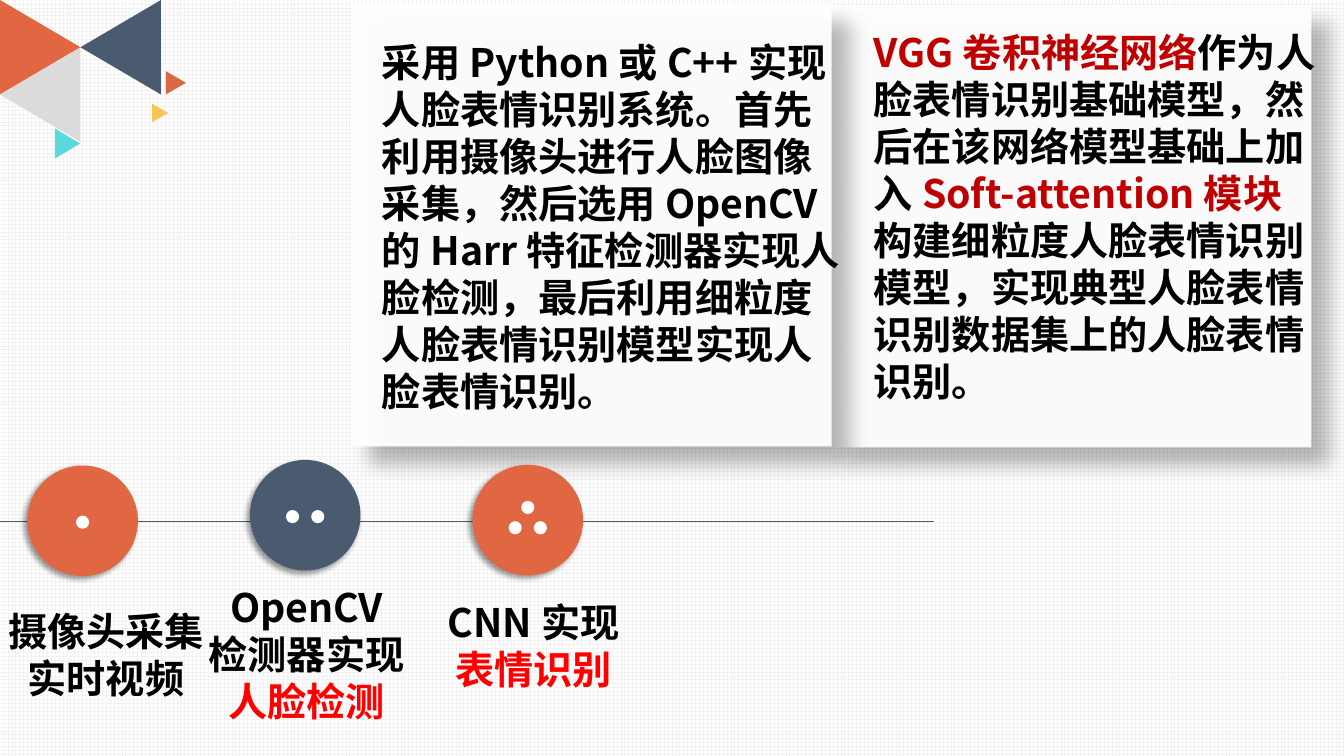
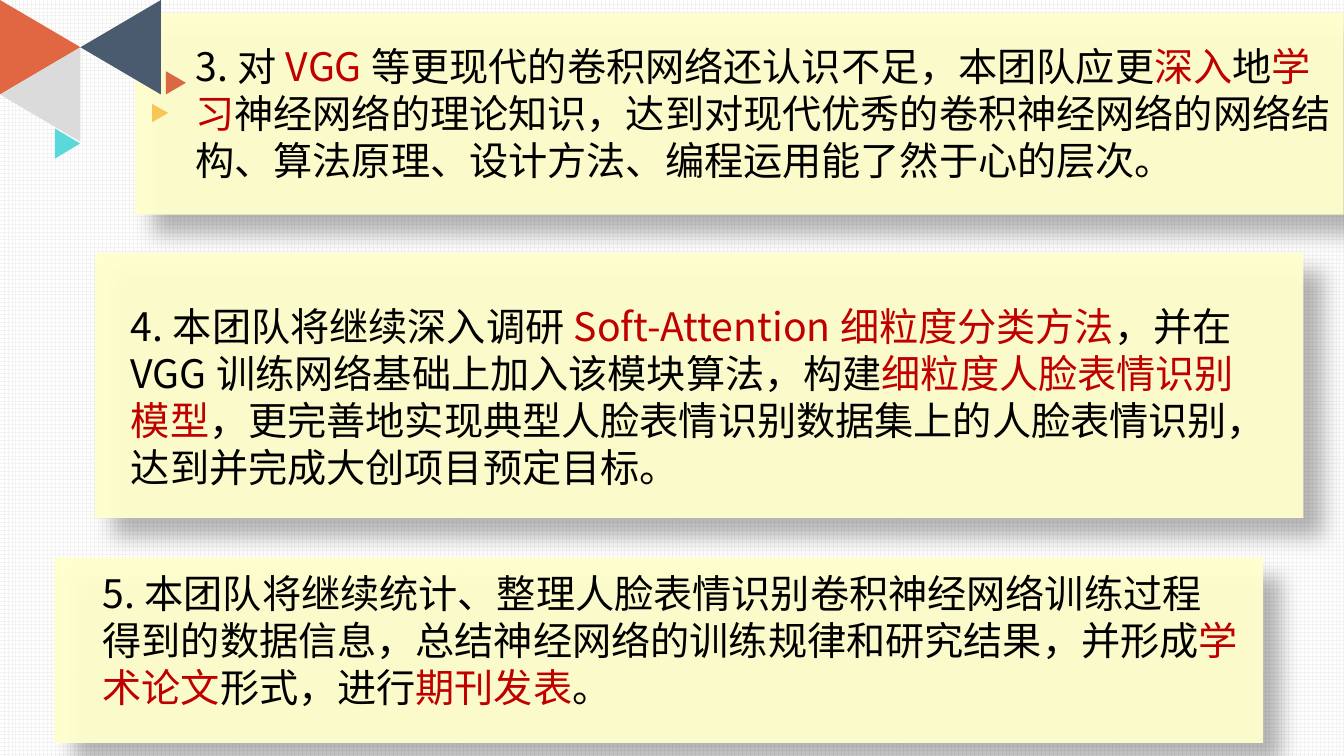
from lxml import etree
from pptx import Presentation
from pptx.dml.color import RGBColor
from pptx.enum.dml import MSO_PATTERN
from pptx.enum.shapes import MSO_CONNECTOR, MSO_SHAPE
from pptx.enum.text import MSO_AUTO_SIZE, PP_ALIGN
from pptx.oxml.ns import qn
from pptx.util import Pt

RECT = MSO_SHAPE.RECTANGLE
OVAL = MSO_SHAPE.OVAL
TRIANGLE = MSO_SHAPE.ISOSCELES_TRIANGLE
STRAIGHT = MSO_CONNECTOR.STRAIGHT
GRID = MSO_PATTERN.LARGE_GRID
GROW = MSO_AUTO_SIZE.SHAPE_TO_FIT_TEXT
LEFT = PP_ALIGN.LEFT
CENTER = PP_ALIGN.CENTER

FONT = "Noto Sans CJK SC"
TEXT_SIZE = 28
COLORS = {
    "white": "FFFFFF",
    "grid": "F2F2F2",
    "black": "000000",
    "dark_red": "C00000",
    "red": "FF0000",
    "orange": "E16742",
    "slate": "4A5B6F",
    "gray": "DBDBDB",
    "teal": "59D9DC",
    "coral": "DA6943",
    "yellow": "F8C655",
    "cream": "FFFFCC",
}
PANEL_SHADOW = {"alpha": 30, "blur": 15, "dist": 18, "angle": 45}
CIRCLE_SHADOW = {"alpha": 40, "blur": 4, "dist": 3, "angle": 135}

TRIANGLES = [
    (0, 0, 57.5, 67.5, 90, "orange"),
    (0, 33.75, 57.5, 67.5, 270, "gray"),
    (39.2, 91.8, 18, 21.5, 90, "teal"),
    (57.5, 0, 57.5, 67.5, 270, "slate"),
    (118.4, 50.8, 14.4, 16.7, 90, "coral"),
    (108.7, 74.2, 11.5, 13, 90, "yellow"),
]

STEP_LEFT, STEP_PITCH = 19.5, 159
CIRCLE, DOT = 79, 9.4
STEPS = [
    (332.5, "orange", [(0, 1)], 430,
     [[("摄像头采集", "black")], [("实时视频", "black")]]),
    (328.5, "slate", [(-9, 1), (9, 1)], 413.3,
     [[("OpenCV", "black")], [("检测器实现", "black")], [("人脸检测", "red")]]),
    (332, "orange", [(-9, 5.5), (9, 5.5), (0, -9)], 424,
     [[("CNN实现", "black")], [("表情识别", "red")]]),
]

SYSTEM_TEXT = [[
    ("采用Python或C++实现人脸表情识别系统。首先利用摄像头进行人脸图像采集，"
     "然后选用OpenCV的Harr特征检测器实现人脸检测，最后利用细粒度人脸表情识别模型"
     "实现人脸表情识别。", "black"),
]]
MODEL_TEXT = [
    [("VGG卷积神经网络", "dark_red"),
     ("作为人脸表情识别基础模型，然后在该网络模型基础上加入", "black"),
     ("Soft-attention模块", "dark_red")],
    [("构建细粒度人脸表情识别模型，实现典型人脸表情识别数据集上的人脸表情识别。",
      "black")],
]

PLANS = [
    (96.5, 9.4, 144, 132.5, 26.6, [
        ("3.对", "black"), ("VGG", "dark_red"),
        ("等更现代的卷积网络还认识不足，本团队应更", "black"),
        ("深入", "dark_red"), ("地", "black"), ("学习", "dark_red"),
        ("神经网络的理论知识，达到对现代优秀的卷积神经网络的网络结构、算法原理、"
         "设计方法、编程运用能了然于心的层次。", "black"),
    ]),
    (67.7, 180.7, 189.4, 86.4, 212.4, [
        ("4.本团队将继续深入调研", "black"),
        ("Soft-Attention细粒度分类方法", "dark_red"),
        ("，并在VGG训练网络基础上加入该模块算法，构建", "black"),
        ("细粒度人脸表情识别模型", "dark_red"),
        ("，更完善地实现典型人脸表情识别数据集上的人脸表情识别，"
         "达到并完成大创项目预定目标。", "black"),
    ]),
    (38.9, 398.2, 132.5, 66.2, 403.2, [
        ("5.本团队将继续统计、整理人脸表情识别卷积神经网络训练过程得到的数据信息，"
         "总结神经网络的训练规律和研究结果，并形成", "black"),
        ("学术论文", "dark_red"), ("形式，进行", "black"),
        ("期刊发表", "dark_red"), ("。", "black"),
    ]),
]


def rgb(name):
    return RGBColor.from_string(COLORS[name])


def add_shadow(sp, alpha, blur, dist, angle):
    effects = sp._element.spPr.find(qn("a:effectLst"))
    outer = etree.SubElement(
        effects, qn("a:outerShdw"), blurRad=str(Pt(blur)), dist=str(Pt(dist)),
        dir=str(angle * 60000), algn="ctr", rotWithShape="0")
    color = etree.SubElement(outer, qn("a:srgbClr"), val=COLORS["black"])
    etree.SubElement(color, qn("a:alpha"), val=str(alpha * 1000))


def add_filled(shapes, kind, x, y, w, h, color, shadow=None):
    sp = shapes.add_shape(kind, Pt(x), Pt(y), Pt(w), Pt(h))
    sp.fill.solid()
    sp.fill.fore_color.rgb = rgb(color)
    sp.line.fill.background()
    sp.shadow.inherit = False
    if shadow:
        add_shadow(sp, **shadow)
    return sp


def add_panel(s, x, y, w, h, color):
    sp = add_filled(s.shapes, RECT, x, y, w, h, color, PANEL_SHADOW)
    clr = sp._element.spPr.find(qn("a:solidFill"))[0]
    etree.SubElement(clr, qn("a:alpha"), val="94000")


def add_text(s, x, y, w, h, paragraphs, bold=False, align=LEFT):
    tf = s.shapes.add_textbox(Pt(x), Pt(y), Pt(w), Pt(h)).text_frame
    tf.word_wrap = True
    tf.auto_size = GROW
    for i, runs in enumerate(paragraphs):
        p = tf.add_paragraph() if i else tf.paragraphs[0]
        p.alignment = align
        for text, color in runs:
            r = p.add_run()
            r.text = text
            r.font.size = Pt(TEXT_SIZE)
            r.font.bold = bold
            r.font.color.rgb = rgb(color)
            r.font.name = FONT
            etree.SubElement(r._r.get_or_add_rPr(), qn("a:ea"), typeface=FONT)


def add_triangles(s):
    group = s.shapes.add_group_shape()
    for x, y, w, h, rotation, color in TRIANGLES:
        shift = (h - w) / 2
        sp = add_filled(group.shapes, TRIANGLE, x - shift, y + shift, h, w, color)
        sp.rotation = rotation


def add_axis(s, y, length):
    line = s.shapes.add_connector(STRAIGHT, Pt(0), Pt(y), Pt(length), Pt(y))
    line.line.color.rgb = rgb("slate")
    line.line.width = Pt(0.5)
    etree.SubElement(line._element.spPr, qn("a:effectLst"))


def add_step(s, index, top, color, dots, label_top, label):
    x = STEP_LEFT + index * STEP_PITCH
    add_filled(s.shapes, OVAL, x, top, CIRCLE, CIRCLE, color, CIRCLE_SHADOW)
    inset = (CIRCLE - DOT) / 2
    for dx, dy in dots:
        add_filled(s.shapes, OVAL, x + inset + dx, top + inset + dy,
                   DOT, DOT, "white")
    label_left = (-4.3, 139, 301)[index]
    add_text(s, label_left, label_top, 160, 34 * len(label) + 7, label, True, CENTER)


def build_method(s):
    add_panel(s, 594, 3.6, 342.7, 316, "white")
    add_panel(s, 251.3, 2.9, 342.7, 316, "white")
    add_triangles(s)
    add_text(s, 265.7, 23.8, 342, 278.6, SYSTEM_TEXT, True)
    add_text(s, 617, 16.6, 348.5, 312.5, MODEL_TEXT, True)
    add_axis(s, 372.2, 667.5)
    for i, step in enumerate(STEPS):
        add_step(s, i, *step)


def build_plans(s):
    for i, (x, y, h, text_x, text_y, runs) in enumerate(PLANS):
        add_panel(s, x, y, 863.3, h, "cream")
        add_text(s, text_x, text_y, 826.6, 143, [runs])
        if i == 0:
            add_triangles(s)


def main():
    prs = Presentation()
    prs.slide_width, prs.slide_height = Pt(960), Pt(540)
    fill = prs.slide_master.background.fill
    fill.patterned()
    fill.pattern = GRID
    fill.fore_color.rgb = rgb("grid")
    fill.back_color.rgb = rgb("white")
    for build in (build_method, build_plans):
        build(prs.slides.add_slide(prs.slide_layouts[6]))
    prs.save("out.pptx")


if __name__ == "__main__":
    main()
